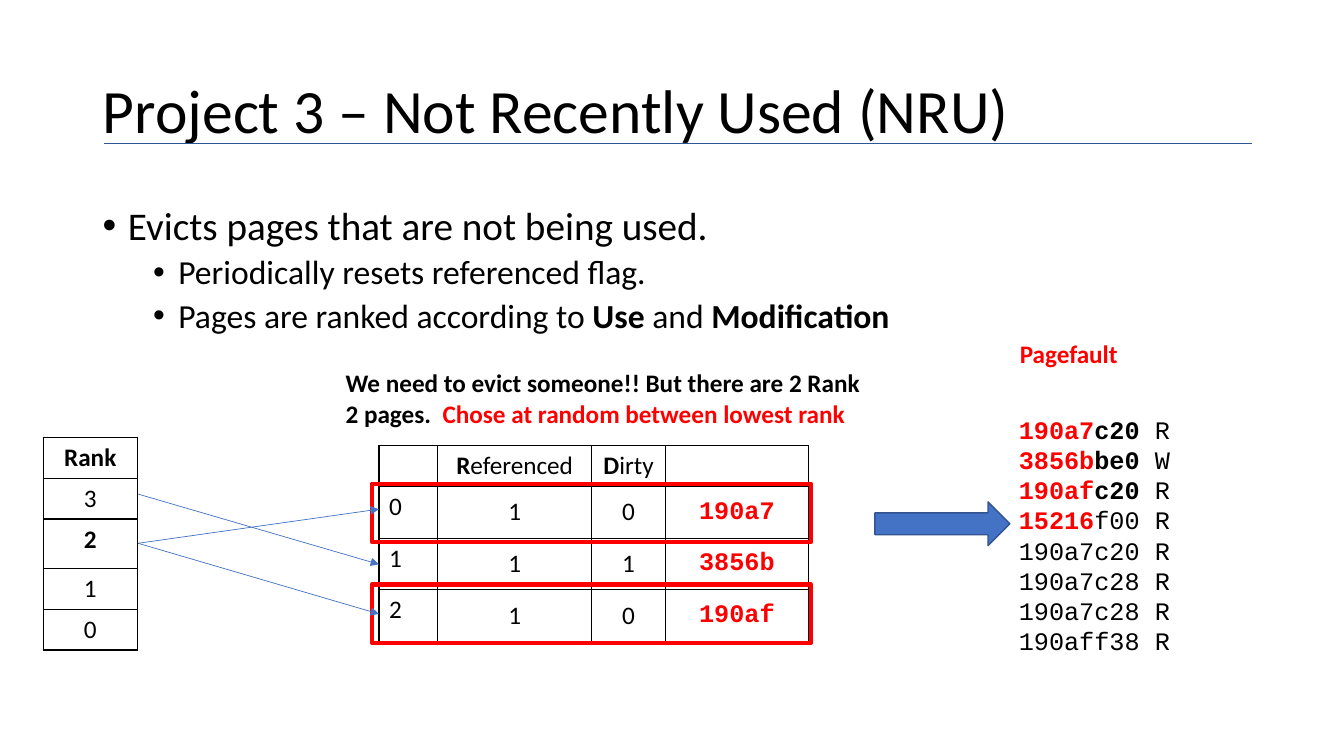
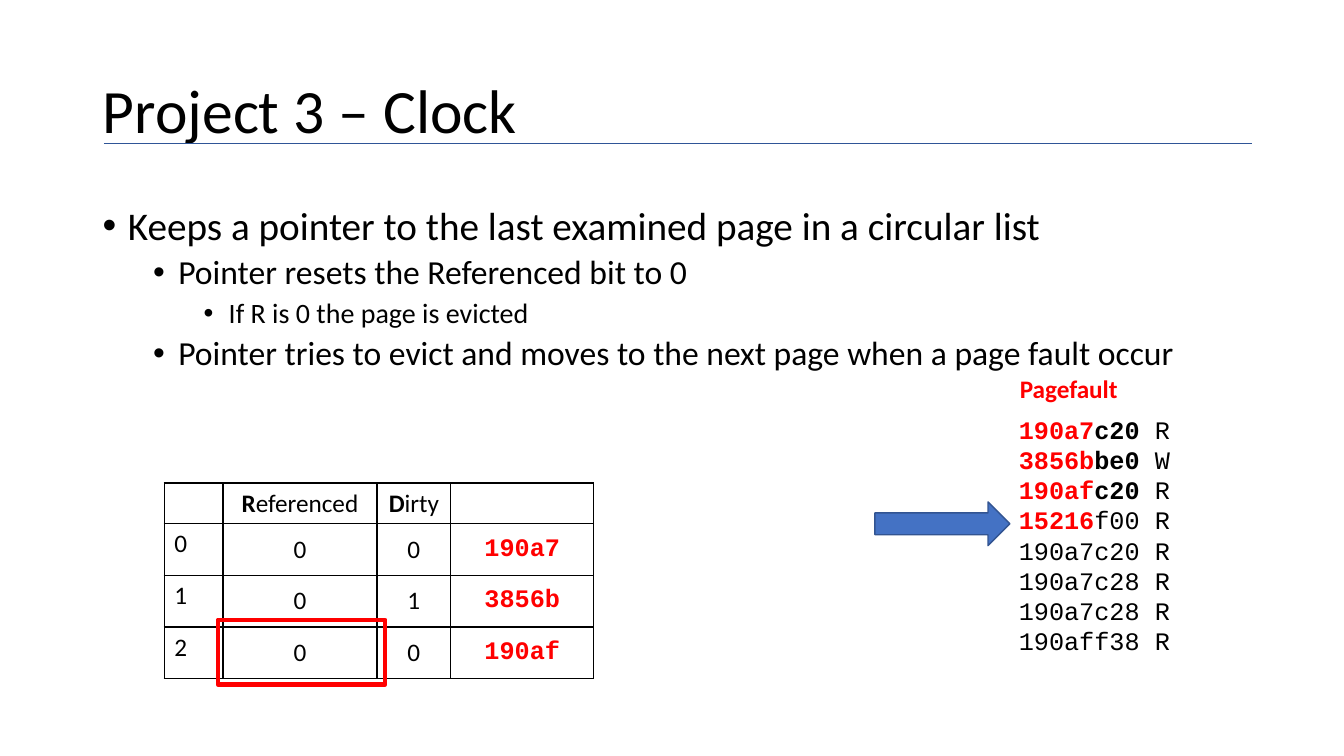
from dataclasses import dataclass
from typing import NamedTuple

from lxml import etree
from pptx import Presentation
from pptx import util as u
from pptx.dml.color import RGBColor
from pptx.enum import shapes, text
from pptx.oxml import ns

BLACK = RGBColor(0x00, 0x00, 0x00)
RED = RGBColor(0xFF, 0x00, 0x00)
BLUE = RGBColor(0x44, 0x72, 0xC4)
ARROW_EDGE = RGBColor(0x32, 0x54, 0x91)
RULE_BLUE = RGBColor(0x2F, 0x55, 0x97)
SANS, MONO = "Calibri", "Courier New"
CENTER, LEFT = text.PP_ALIGN.CENTER, text.PP_ALIGN.LEFT
MIDDLE, TOP = text.MSO_ANCHOR.MIDDLE, text.MSO_ANCHOR.TOP
BODY_SIZES = (28, 24, 20)
TITLE_ONLY = 5


class Run(NamedTuple):
    text: str
    bold: bool = False
    color: RGBColor = BLACK
    font: str = SANS


class Box(NamedTuple):
    """Left, top, width and height in centimetres."""
    left: float
    top: float
    width: float
    height: float

    def lengths(self) -> list:
        return [u.Cm(value) for value in self]


class Bullet(NamedTuple):
    level: int
    runs: list


class Cell(NamedTuple):
    runs: list
    align: text.PP_ALIGN = CENTER
    anchor: text.MSO_ANCHOR = MIDDLE


class Arrow(NamedTuple):
    start: tuple
    end: tuple


@dataclass
class Topic:
    title: str
    bullets: list
    body_height: float
    frames_at: tuple
    referenced: str
    pagefault_top: float
    highlights: list


def page(number: str) -> Run:
    return Run(number, True, RED, MONO)


def code(content: str, bold: bool = False) -> Run:
    return Run(content, bold, BLACK, MONO)


# Content shared by both slides
PAGES = [("190a7", "0"), ("3856b", "1"), ("190af", "0")]
TRACE = [
    [page("190a7"), code("c20 ", True), code("R")],
    [page("3856b"), code("be0", True), code(" W")],
    [page("190af"), code("c20", True), code(" R")],
    [page("15216"), code("f00 R")],
    *[[code(f"{address} R")] for address in
      ("190a7c20", "190a7c28", "190a7c28", "190aff38")],
]
FRAME_COLUMNS = [1.48, 3.88, 1.86, 3.6]
FRAME_ROWS = [1.03, 1.3, 1.3, 1.3]

# Content of the ranking example
RANKS = [Run("Rank", True), Run("3"), Run("2", True), Run("1"), Run("0")]
RANK_ROWS = [1.03, 1.03, 1.24, 1.03, 1.03]
RANK_ARROWS = [
    Arrow((3.48, 13.69), (9.55, 12.83)),
    Arrow((3.48, 13.69), (9.55, 15.47)),
    Arrow((3.48, 12.45), (9.55, 14.22)),
]
EVICTION_NOTE = [
    Run("We need to evict someone!! But there are 2 Rank 2 pages.  ", True),
    Run("Chose at random between lowest rank", True, RED),
]

NRU = Topic(
    "Project 3 – Not Recently Used (NRU)",
    [
        Bullet(0, [Run("Evicts pages that are not being used.")]),
        Bullet(1, [Run("Periodically resets referenced flag.")]),
        Bullet(1, [Run("Pages are ranked according to "), Run("Use", True),
                   Run(" and "), Run("Modification", True)]),
    ],
    4.67, (9.55, 11.23), "1", 8.41,
    [Box(9.37, top, 11.07, 1.47) for top in (12.19, 14.73)],
)
CLOCK = Topic(
    "Project 3 – Clock",
    [
        Bullet(0, [Run("Keeps a pointer to the last examined page in a circular list")]),
        Bullet(1, [Run("Pointer resets the Referenced bit to 0")]),
        Bullet(2, [Run("If R is 0 the page is evicted")]),
        Bullet(1, [Run("Pointer tries to evict and moves to the next page "
                       "when a page fault occur")]),
    ],
    5.41, (4.14, 12.17), "0", 9.27,
    [Box(5.49, 15.62, 4.22, 1.63)],
)


def apply(target, formats: dict) -> None:
    for name, value in formats.items():
        setattr(target, name, value)


def write(paragraph, runs: list, size: float = 18) -> None:
    for piece in runs:
        run = paragraph.add_run()
        run.text = piece.text
        apply(run.font, {"size": u.Pt(size), "bold": piece.bold, "name": piece.font})
        run.font.color.rgb = piece.color


def add_text(slide, box: Box, lines: list, align=LEFT) -> None:
    frame = slide.shapes.add_textbox(*box.lengths()).text_frame
    frame.word_wrap = True
    for index, runs in enumerate(lines):
        paragraph = frame.add_paragraph() if index else frame.paragraphs[0]
        paragraph.alignment = align
        write(paragraph, runs)


def add_title(slide, title: str) -> None:
    placeholder = slide.shapes.title
    lengths = Box(2.34, 1.02, 29.21, 3.68).lengths()
    apply(placeholder, dict(zip(("left", "top", "width", "height"), lengths)))
    frame = placeholder.text_frame
    apply(frame, {"vertical_anchor": MIDDLE, "word_wrap": True,
                  "auto_size": text.MSO_AUTO_SIZE.NONE})
    apply(frame.paragraphs[0], {"alignment": LEFT, "line_spacing": 0.9})
    write(frame.paragraphs[0], [Run(title)], 44)


def add_bullets(slide, bullets: list, height: float) -> None:
    box = Box(2.34, 5.08, 29.21, height)
    frame = slide.shapes.add_textbox(*box.lengths()).text_frame
    frame.word_wrap = True
    for index, bullet in enumerate(bullets):
        paragraph = frame.add_paragraph() if index else frame.paragraphs[0]
        properties = paragraph._p.get_or_add_pPr()
        properties.set("marL", str(u.Cm(0.635 + 1.27 * bullet.level)))
        properties.set("indent", str(-u.Cm(0.635)))
        etree.SubElement(properties, ns.qn("a:buFont"), typeface="Arial")
        etree.SubElement(properties, ns.qn("a:buChar"), char="•")
        apply(paragraph, {"level": bullet.level, "line_spacing": 0.9,
                          "space_before": u.Pt(5 if index else 0)})
        write(paragraph, bullet.runs, BODY_SIZES[bullet.level])


def add_line(slide, line: Arrow, color: RGBColor, pointed: bool) -> None:
    ends = [u.Cm(value) for value in (*line.start, *line.end)]
    connector = slide.shapes.add_connector(shapes.MSO_CONNECTOR.STRAIGHT, *ends)
    connector.line.color.rgb = color
    connector.line.width = u.Pt(0.5)
    if pointed:
        etree.SubElement(connector.line._get_or_add_ln(), ns.qn("a:tailEnd"),
                         type="triangle")
    etree.SubElement(connector._element.spPr, ns.qn("a:effectLst"))


def add_outlined(slide, kind, box: Box, color: RGBColor, width: float, fill=None) -> None:
    shape = slide.shapes.add_shape(kind, *box.lengths())
    shape.shadow.inherit = False
    shape.line.color.rgb = color
    shape.line.width = u.Pt(width)
    if fill is None:
        shape.fill.background()
    else:
        shape.fill.solid()
        shape.fill.fore_color.rgb = fill


def add_borders(cell) -> None:
    properties = cell._tc.get_or_add_tcPr()
    for side in ("lnL", "lnR", "lnT", "lnB"):
        border = etree.SubElement(properties, ns.qn(f"a:{side}"), w=str(u.Pt(1)))
        fill = etree.SubElement(border, ns.qn("a:solidFill"))
        etree.SubElement(fill, ns.qn("a:srgbClr"), val=str(BLACK))


def add_grid(slide, at: tuple, widths: list, heights: list, rows: list) -> None:
    box = Box(*at, sum(widths), sum(heights))
    table = slide.shapes.add_table(len(heights), len(widths), *box.lengths()).table
    apply(table, {"first_row": False, "horz_banding": False})
    for column, width in zip(table.columns, widths):
        column.width = u.Cm(width)
    for row, height, contents in zip(table.rows, heights, rows):
        row.height = u.Cm(height)
        for cell, content in zip(row.cells, contents):
            add_borders(cell)
            cell.fill.background()
            cell.vertical_anchor = content.anchor
            paragraph = cell.text_frame.paragraphs[0]
            paragraph.alignment = content.align
            write(paragraph, content.runs)


def add_frames(slide, at: tuple, referenced: str) -> None:
    header = [Cell([]), Cell([Run("R", True), Run("eferenced")]),
              Cell([Run("D", True), Run("irty")]), Cell([])]
    rows = [
        [Cell([Run(str(index))], LEFT, TOP), Cell([Run(referenced)]),
         Cell([Run(dirty)]), Cell([page(number)])]
        for index, (number, dirty) in enumerate(PAGES)
    ]
    add_grid(slide, at, FRAME_COLUMNS, FRAME_ROWS, [header, *rows])


def add_ranking(slide) -> None:
    rows = [[Cell([rank], CENTER, TOP)] for rank in RANKS]
    add_grid(slide, (1.09, 11.02), [2.37], RANK_ROWS, rows)
    for arrow in RANK_ARROWS:
        add_line(slide, arrow, BLUE, True)
    add_text(slide, Box(8.46, 9.14, 13.64, 1.8), [EVICTION_NOTE])


def add_topic(deck, topic: Topic):
    slide = deck.slides.add_slide(deck.slide_layouts[TITLE_ONLY])
    # Heading and points
    add_title(slide, topic.title)
    add_line(slide, Arrow((2.62, 3.61), (31.55, 3.61)), RULE_BLUE, False)
    add_bullets(slide, topic.bullets, topic.body_height)
    # Page frames and memory trace
    add_frames(slide, topic.frames_at, topic.referenced)
    add_text(slide, Box(22.4, 10.31, 10.36, 6.4), TRACE, CENTER)
    add_outlined(slide, shapes.MSO_SHAPE.RIGHT_ARROW, Box(22.05, 12.65, 3.4, 1.1),
                 ARROW_EDGE, 1, BLUE)
    add_text(slide, Box(25.45, topic.pagefault_top, 5.79, 1.02),
             [[Run("Pagefault", True, RED)]])
    # Eviction candidates
    for box in topic.highlights:
        add_outlined(slide, shapes.MSO_SHAPE.RECTANGLE, box, RED, 3)
    return slide


def main() -> None:
    deck = Presentation()
    apply(deck, {"slide_width": u.Cm(33.87), "slide_height": u.Cm(19.05)})
    add_ranking(add_topic(deck, NRU))
    add_topic(deck, CLOCK)
    deck.save("out.pptx")


if __name__ == "__main__":
    main()
